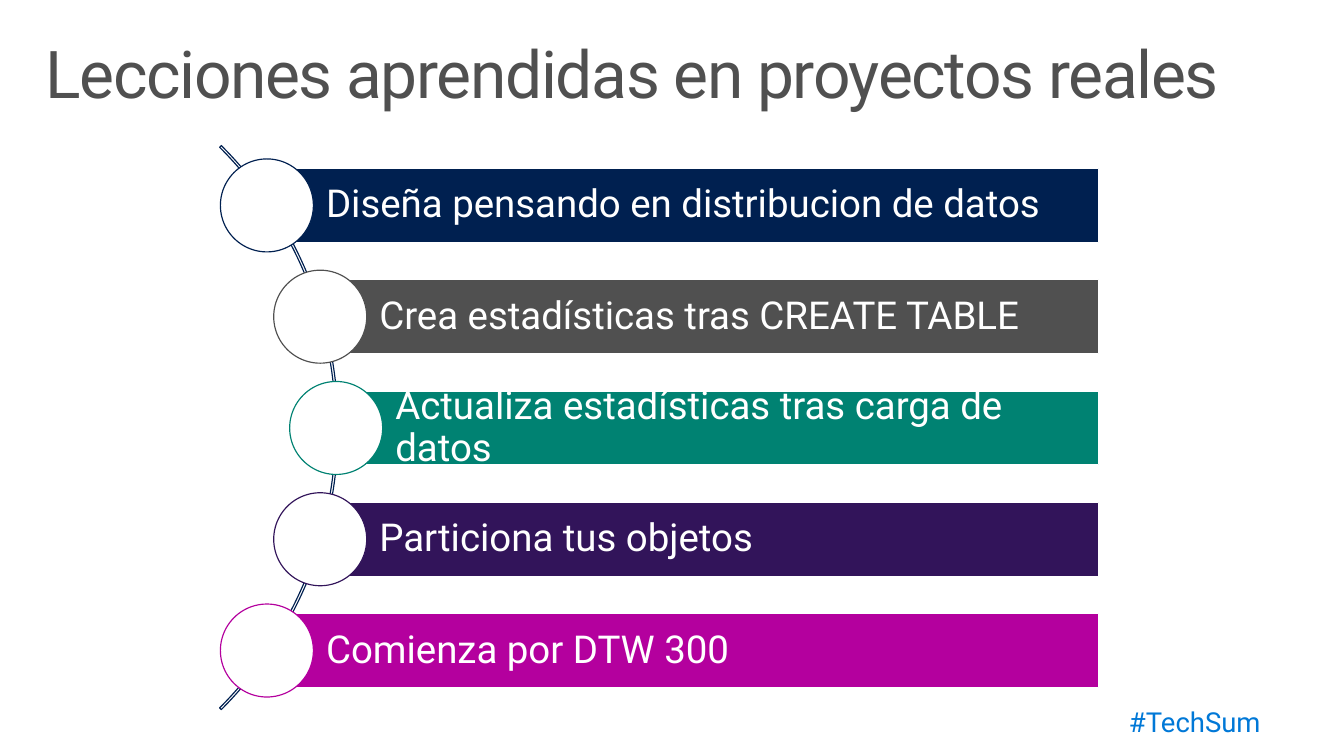
"""Build a slide of five lessons set along an arc."""
from pptx import Presentation
from pptx.dml.color import RGBColor
from pptx.enum.shapes import MSO_SHAPE
from pptx.enum.text import MSO_ANCHOR, PP_ALIGN
from pptx.util import Cm, Pt

ARC, BAR, CIRCLE = MSO_SHAPE.BLOCK_ARC, MSO_SHAPE.RECTANGLE, MSO_SHAPE.OVAL
TOP, MIDDLE = MSO_ANCHOR.TOP, MSO_ANCHOR.MIDDLE
LEFT, RIGHT = PP_ALIGN.LEFT, PP_ALIGN.RIGHT
COLORS = {
    "white": "FFFFFF", "navy": "002050", "gray": "505050", "teal": "008272",
    "purple": "32145A", "magenta": "B4009E", "blue": "0078D7",
}
LESSONS = [
    ("Diseña pensando en distribucion de datos", "navy", 6.86),
    ("Crea estadísticas tras CREATE TABLE", "gray", 8.23),
    ("Actualiza estadísticas tras carga de datos", "teal", 8.64),
    ("Particiona tus objetos", "purple", 8.23),
    ("Comienza por DTW 300", "magenta", 6.86),
]
BAR_RIGHT, BAR_HEIGHT, DIAMETER = 28.24, 1.9, 2.39
FIRST_CENTER, PITCH = 5.28, 2.86


def add_outlined(kind, x, y, w, h, line, fill=None):
    sp = s.shapes.add_shape(kind, Cm(x), Cm(y), Cm(w), Cm(h))
    sp.shadow.inherit = False
    sp.line.color.rgb = RGBColor.from_string(COLORS[line])
    sp.line.width = Pt(0.85)
    if fill:
        sp.fill.solid()
        sp.fill.fore_color.rgb = RGBColor.from_string(COLORS[fill])
    else:
        sp.fill.background()
    return sp


def set_text(sp, text, size, color, insets, anchor=TOP, align=LEFT):
    tf = sp.text_frame
    tf.word_wrap = True
    tf.vertical_anchor = anchor
    tf.margin_left, tf.margin_top, tf.margin_right, tf.margin_bottom = map(Cm, insets)
    p = tf.paragraphs[0]
    p.text = text
    p.alignment = align
    p.line_spacing = 0.9
    p.font.name = "Roboto"
    p.font.size = Pt(size)
    p.font.color.rgb = RGBColor.from_string(COLORS[color])
    return p


prs = Presentation()
prs.slide_width, prs.slide_height = Cm(34.54), Cm(19.43)
s = prs.slides.add_slide(prs.slide_layouts[6])

hashtag = s.shapes.add_textbox(Cm(22.78), Cm(17.83), Cm(10.13), Cm(1.6))
set_text(hashtag, "#TechSum", 20, "blue", (0.51, 0.41, 0.51, 0.41), align=RIGHT)

title = s.shapes.add_textbox(Cm(0.76), Cm(0.81), Cm(33.02), Cm(2.54))
p = set_text(title, "Lecciones aprendidas en proyectos reales", 48, "gray",
             (0.41, 0.25, 0.41, 0.25))
p.runs[0].font._element.set("spc", "-100")

arc = add_outlined(ARC, -11.81, 0.74, 20.5, 20.5, "navy")
arc.adjustments[0] = 189
arc.adjustments[1] = 27
arc.adjustments[2] = 0.003

for i, (lesson, color, x) in enumerate(LESSONS):
    center = FIRST_CENTER + i * PITCH
    bar = add_outlined(BAR, x, center - BAR_HEIGHT / 2, BAR_RIGHT - x, BAR_HEIGHT,
                       "white", color)
    set_text(bar, lesson, 28, "white", (1.52, 0.2, 0.2, 0.2), MIDDLE)
    add_outlined(CIRCLE, x - DIAMETER / 2, center - DIAMETER / 2, DIAMETER, DIAMETER,
                 color, "white")

prs.save("out.pptx")
